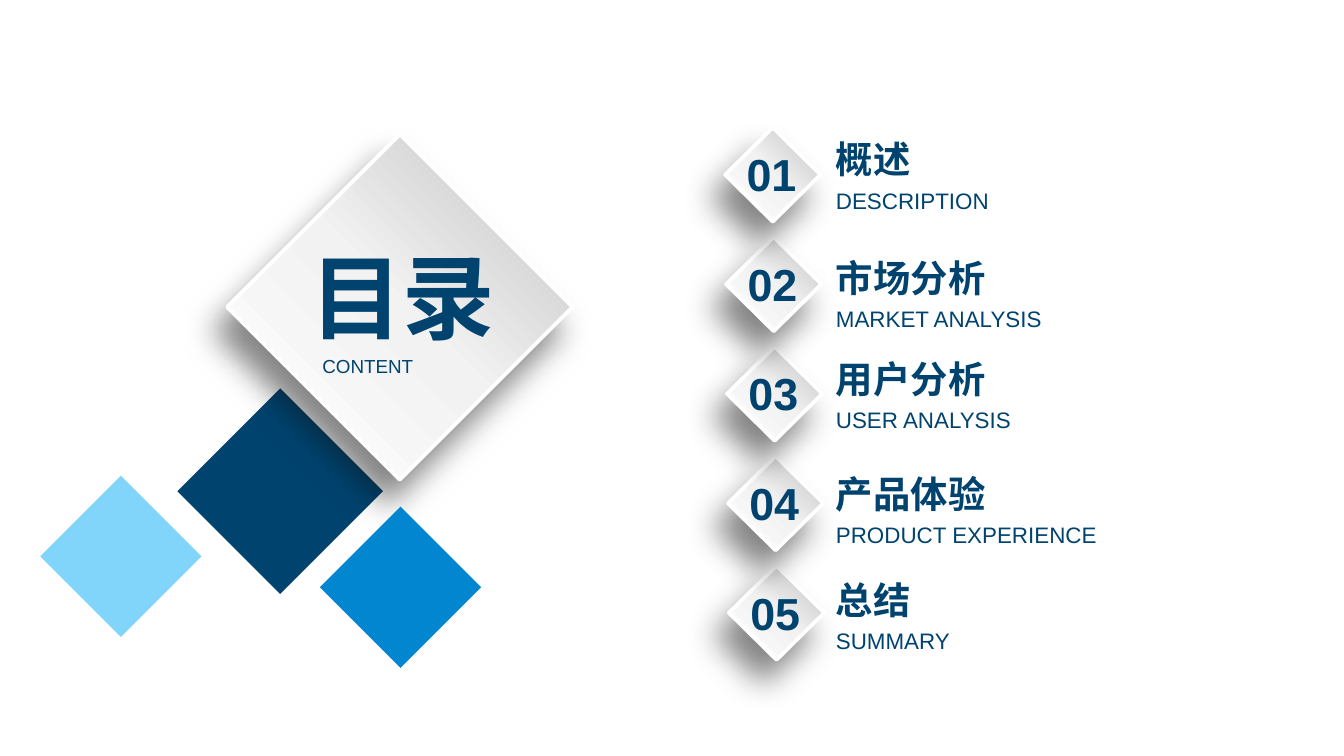
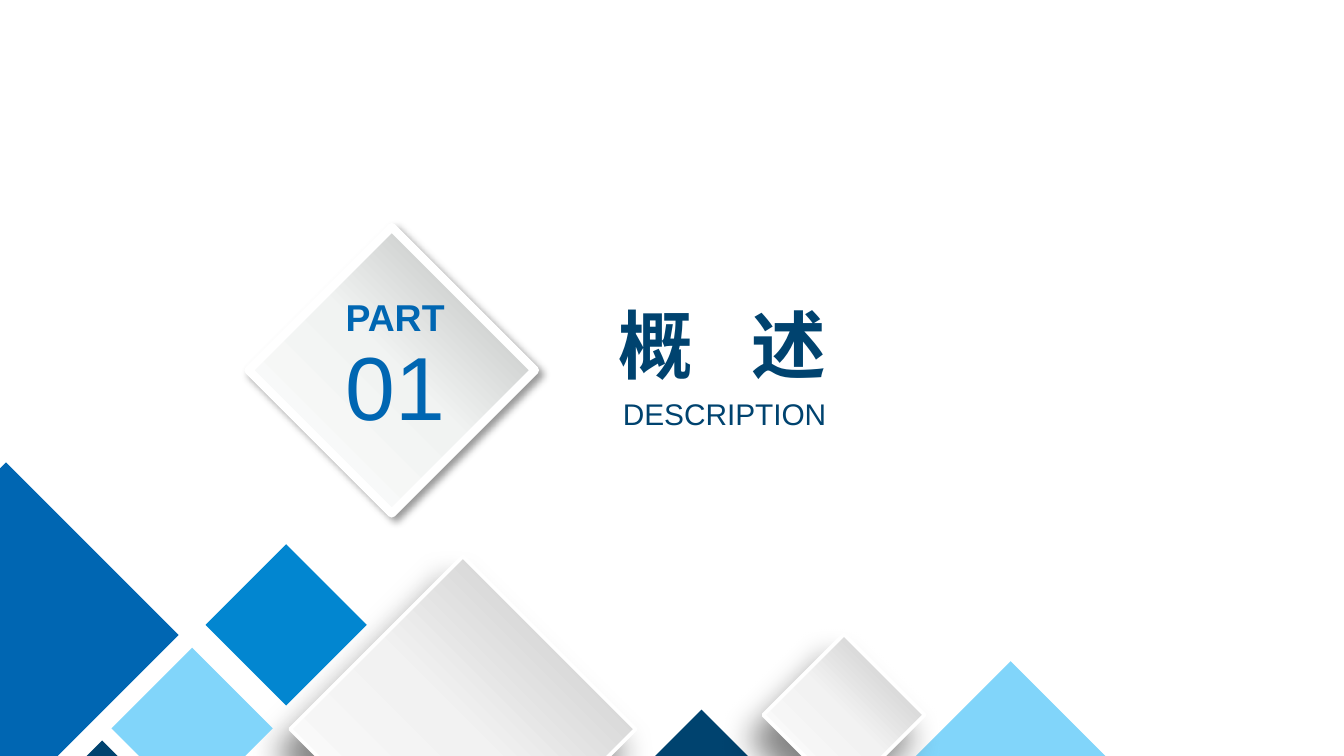
import pptx
import pptx.dml.color
import pptx.enum.shapes
import pptx.enum.text
import pptx.oxml.ns
import pptx.util
from lxml import etree


class Theme:
    font = "Arial"
    navy = "00436F"
    royal = "0066B2"
    azure = "0286D0"
    sky = "81D5FA"
    white = "FFFFFF"
    raised = dict(stops=((0, "BFBFBF"), (50, "F2F2F2"), (100, "FFFFFF")), angle=225,
                  edge=2, shadow=("0D0D0D", 50, 17, 14, 120))
    badge = dict(stops=((0, "FFFFFF"), (51, "F1F3F2"), (100, "B2B2B2")), angle=45,
                 edge=4.5, shadow=("000000", 40, 4, 3, 45))
    contents_size, contents_caption = 49.5, 10.1
    number_size, item_size, item_caption = 24, 20, 12
    part_size, part_number = 20, 48
    section_size, section_caption = 40, 16


deck = pptx.Presentation()
deck.slide_width = pptx.util.Inches(10)
deck.slide_height = pptx.util.Inches(5.625)
unit = deck.slide_width / 100
rgb = pptx.dml.color.RGBColor.from_string
qn = pptx.oxml.ns.qn
middle = pptx.enum.text.MSO_ANCHOR.MIDDLE
align = pptx.enum.text.PP_ALIGN


def add_diamond(slide, left, top, width, height, finish):
    tile = slide.shapes.add_shape(pptx.enum.shapes.MSO_SHAPE.DIAMOND,
                                  *(round(v * unit) for v in (left, top, width, height)))
    tile.shadow.inherit = False
    if isinstance(finish, str):
        tile.fill.solid()
        tile.fill.fore_color.rgb = rgb(finish)
        tile.line.fill.background()
        return
    tile.fill.gradient()
    tile.fill.gradient_angle = finish["angle"]
    properties = tile._element.spPr
    stops = properties.find(".//" + qn("a:gsLst"))
    stops.clear()
    for position, colour in finish["stops"]:
        stop = etree.SubElement(stops, qn("a:gs"), pos=str(position * 1000))
        etree.SubElement(stop, qn("a:srgbClr"), val=colour)
    tile.line.color.rgb = rgb(Theme.white)
    tile.line.width = pptx.util.Pt(finish["edge"])
    colour, alpha, blur, distance, direction = finish["shadow"]
    shadow = etree.SubElement(properties.find(qn("a:effectLst")), qn("a:outerShdw"),
                              blurRad=str(pptx.util.Pt(blur)), dist=str(pptx.util.Pt(distance)),
                              dir=str(direction * 60000), rotWithShape="0")
    tint = etree.SubElement(shadow, qn("a:srgbClr"), val=colour)
    etree.SubElement(tint, qn("a:alpha"), val=str(alpha * 1000))


def add_text(slide, left, top, width, height, lines, colour=Theme.navy, spacing=1.2,
             alignment=align.LEFT, tight=True):
    box = slide.shapes.add_textbox(*(round(v * unit) for v in (left, top, width, height)))
    frame = box.text_frame
    frame.word_wrap = True
    if tight:
        frame.vertical_anchor = middle
        frame.margin_left = frame.margin_right = round(0.7 * unit)
        frame.margin_top = frame.margin_bottom = round(0.4 * unit)
    frame.text = "\n".join(words for words, size, bold in lines)
    for paragraph, (words, size, bold) in zip(frame.paragraphs, lines):
        paragraph.alignment = alignment
        paragraph.line_spacing = spacing
        font = paragraph.runs[0].font
        font.name = Theme.font
        font.size = pptx.util.Pt(size)
        font.bold = bold
        font.color.rgb = rgb(colour)
    return frame


blank = deck.slide_layouts[6]

contents = deck.slides.add_slide(blank)
add_diamond(contents, 13.2, 28.9, 15.3, 15.3, Theme.navy)
add_diamond(contents, 16.9, 10, 25.7, 25.7, Theme.raised)
add_text(contents, 22.4, 19.8, 22.1, 5.4, [("目录", Theme.contents_size, True)], spacing=0.9)
add_text(contents, 23, 25.1, 14.2, 3.3, [("CONTENT", Theme.contents_caption, False)],
         spacing=1.5, alignment=align.JUSTIFY, tight=False)
add_diamond(contents, 3, 35.4, 12, 12, Theme.sky)
add_diamond(contents, 23.8, 37.7, 12, 12, Theme.azure)

chapters = [
    ("概述", "DESCRIPTION", 10.2),
    ("市场分析", "MARKET ANALYSIS", 19),
    ("用户分析", "USER ANALYSIS", 26.5),
    ("产品体验", "PRODUCT EXPERIENCE", 35.1),
    ("总结", "SUMMARY", 43),
]
for title, caption, top in chapters:
    add_text(contents, 61.5, top, 31, 5,
             [(title, Theme.item_size, True), (caption, Theme.item_caption, False)])
for index in reversed(range(len(chapters))):
    left, top = 53.95 + 0.07 * index, 9.5 + 8.15 * index
    add_diamond(contents, left, top, 7.1, 7, Theme.raised)
    add_text(contents, left + 0.9, top + 1, 5.3, 5.4,
             [(f"{index + 1:02}", Theme.number_size, True)], spacing=0.9)

section = deck.slides.add_slide(blank)
add_diamond(section, 18.5, 16.9, 21.3, 21.3, Theme.badge)
add_text(section, 21.5, 24.1, 15.9, 9.1, [("01", Theme.part_number, False)],
         Theme.royal, 1.0, align.CENTER, False)
add_text(section, 22.2, 21.4, 14.4, 4.4, [("PART", Theme.part_size, True)],
         Theme.royal, 1.0, align.CENTER, False)
for left, top, side, finish in [
    (1.6, 55.1, 12, Theme.navy),
    (-12.4, 34.4, 25.7, Theme.royal),
    (21.6, 41.4, 25.7, Theme.raised),
    (8.3, 48.2, 12, Theme.sky),
    (46.2, 52.8, 12, Theme.navy),
    (15.3, 40.5, 12, Theme.azure),
    (65.7, 49.2, 19, Theme.sky),
    (56.8, 47.2, 12, Theme.raised),
]:
    add_diamond(section, left, top, side, side, finish)

heading = add_text(section, 43.8, 24, 28.7, 5,
                   [("概 述", Theme.section_size, True),
                    ("DESCRIPTION", Theme.section_caption, False)])
for paragraph, indent in zip(heading.paragraphs, (1.5, 1.85)):
    paragraph._p.get_or_add_pPr().set("marL", str(round(indent * unit)))
heading.paragraphs[0].runs[0].font._element.set("spc", "1110")

deck.save("out.pptx")
